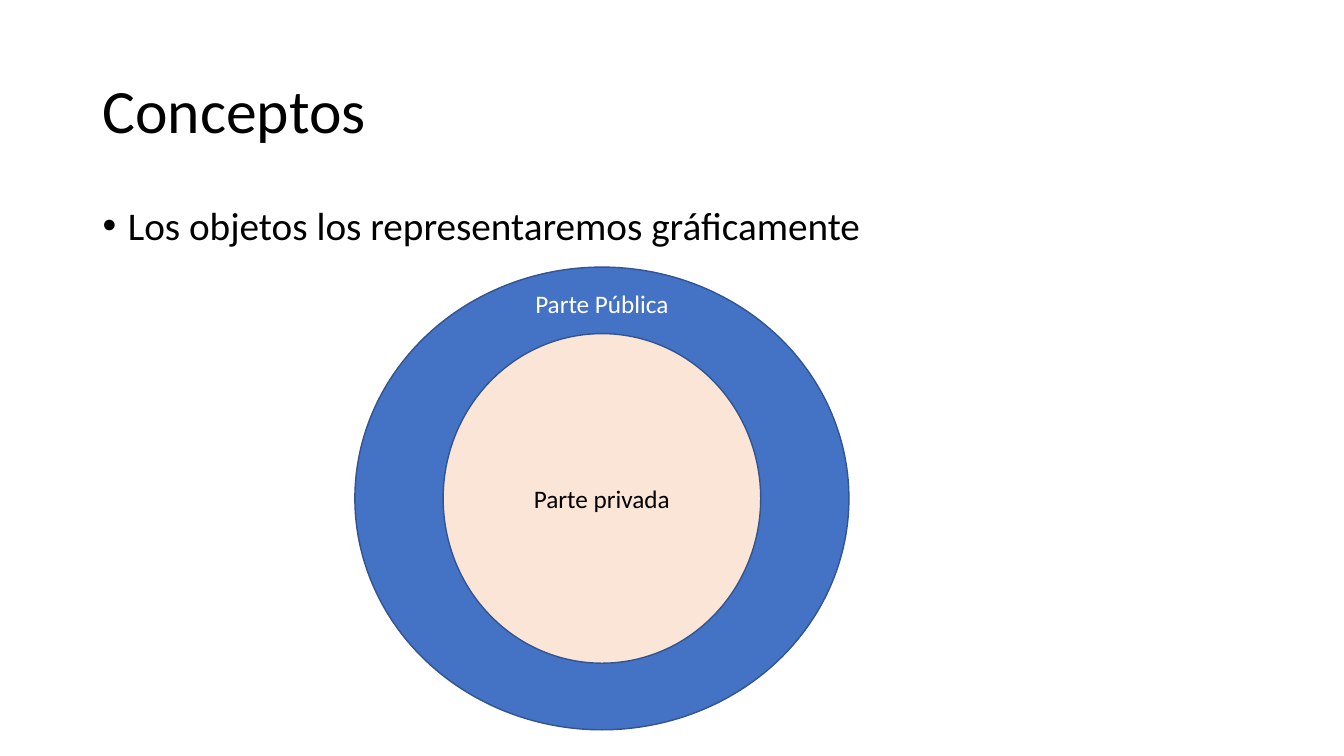
from pptx import Presentation
from pptx.util import Inches, Pt
from pptx.dml.color import RGBColor
from pptx.enum.shapes import MSO_SHAPE
from pptx.enum.text import MSO_ANCHOR, PP_ALIGN
from lxml import etree

OVAL = MSO_SHAPE.OVAL
TOP, MIDDLE = MSO_ANCHOR.TOP, MSO_ANCHOR.MIDDLE
LEFT, CENTER = PP_ALIGN.LEFT, PP_ALIGN.CENTER

# Content
TITLE = "Conceptos"
BULLET = "Los objetos los representaremos gráficamente"
PUBLIC_LABEL = "Parte Pública"
PRIVATE_LABEL = "Parte privada"

# Layout in inches: both ellipses share one centre
SLIDE_W, SLIDE_H = 13.33, 7.5
MARGIN, CONTENT_W = 0.92, 11.5
CENTER_X, CENTER_Y = 5.97, 4.945
PUBLIC_SIZE = (4.9, 4.59)
PRIVATE_SIZE = (3.15, 3.27)
LABEL_H = 0.4
LABEL_Y = 3.01
INK, WHITE, BLUE, PEACH, OUTLINE = "000000", "FFFFFF", "4472C4", "FBE5D6", "325491"


def color(value):
    return RGBColor.from_string(value)


def around(center_x, center_y, width, height):
    return center_x - width / 2, center_y - height / 2, width, height


def write(shape, text, size, ink, align=LEFT, anchor=MIDDLE):
    frame = shape.text_frame
    frame.word_wrap = True
    frame.vertical_anchor = anchor
    frame.text = text
    paragraph = frame.paragraphs[0]
    paragraph.alignment = align
    font = paragraph.runs[0].font
    font.name, font.size = "Calibri", Pt(size)
    font.color.rgb = color(ink)
    return paragraph


def add_text(slide, box, *style):
    return write(slide.shapes.add_textbox(*map(Inches, box)), *style)


def add_ellipse(slide, size, fill):
    box = around(CENTER_X, CENTER_Y, *size)
    ellipse = slide.shapes.add_shape(OVAL, *map(Inches, box))
    ellipse.shadow.inherit = False
    ellipse.fill.solid()
    ellipse.fill.fore_color.rgb = color(fill)
    ellipse.line.color.rgb = color(OUTLINE)
    ellipse.line.width = Pt(1)
    return ellipse


def add_bullet(paragraph):
    props = paragraph._p.get_or_add_pPr()
    props.set("marL", str(Inches(0.25)))
    props.set("indent", str(Inches(-0.25)))
    namespace = props.nsmap["a"]
    font = etree.SubElement(props, f"{{{namespace}}}buFont")
    font.set("typeface", "Arial")
    mark = etree.SubElement(props, f"{{{namespace}}}buChar")
    mark.set("char", "•")


def main():
    deck = Presentation()
    deck.slide_width, deck.slide_height = Inches(SLIDE_W), Inches(SLIDE_H)
    slide = deck.slides.add_slide(deck.slide_layouts[6])

    # Title and bullet
    title = add_text(slide, (MARGIN, 0.4, CONTENT_W, 1.45), TITLE, 44, INK)
    title.line_spacing = 0.9
    bullet = add_text(slide, (MARGIN, 2, CONTENT_W, 4.76), BULLET, 28, INK, LEFT, TOP)
    bullet.line_spacing = 0.9
    bullet.space_before = Pt(10)
    add_bullet(bullet)

    # Public ring around the private core
    add_ellipse(slide, PUBLIC_SIZE, BLUE)
    private_core = add_ellipse(slide, PRIVATE_SIZE, PEACH)
    write(private_core, PRIVATE_LABEL, 18, INK, CENTER)
    label_box = around(CENTER_X, LABEL_Y, PRIVATE_SIZE[0], LABEL_H)
    add_text(slide, label_box, PUBLIC_LABEL, 18, WHITE, CENTER)

    deck.save("out.pptx")


if __name__ == "__main__":
    main()
